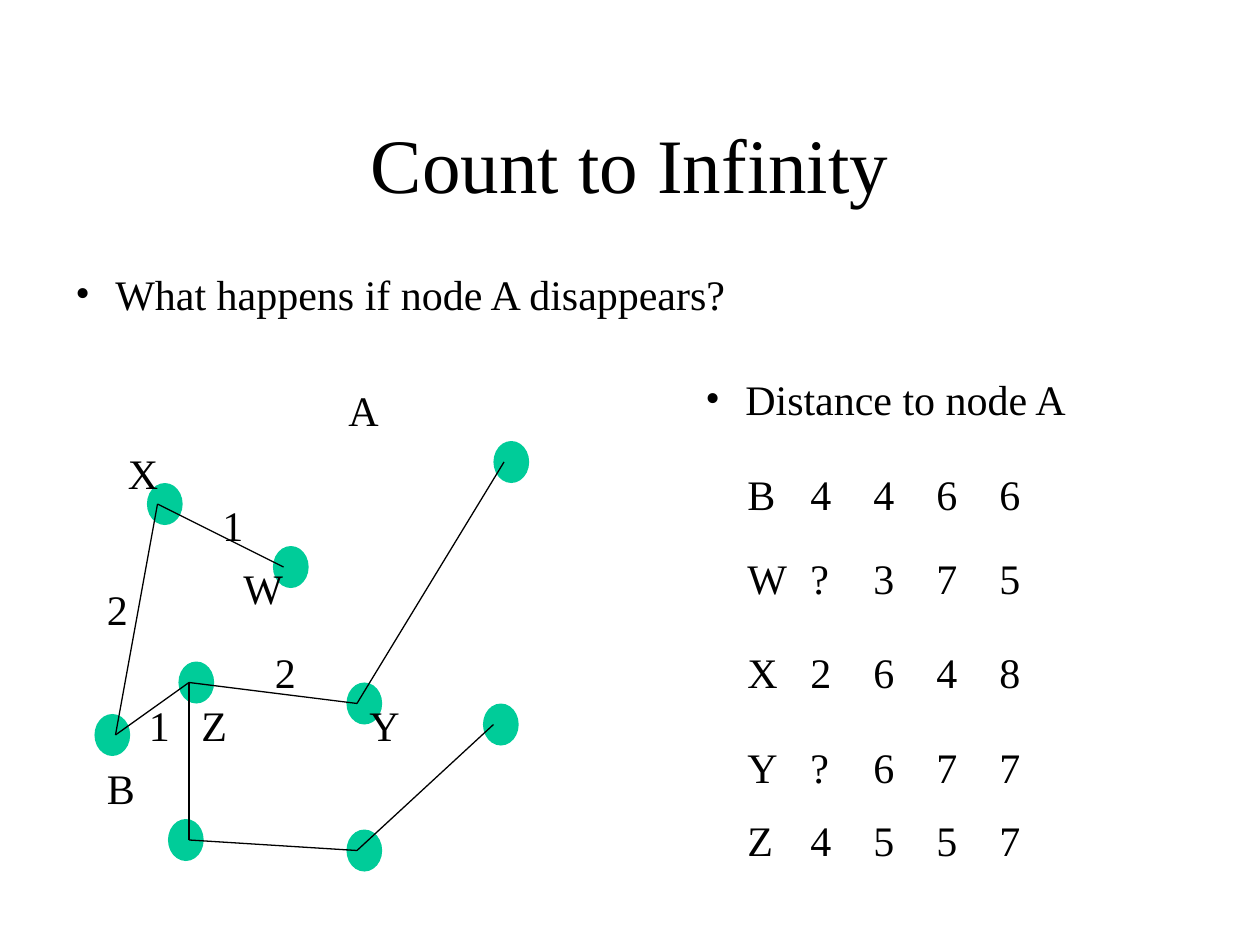
from pptx import Presentation
from pptx.dml.color import RGBColor
from pptx.enum.shapes import MSO_CONNECTOR as Connector, MSO_SHAPE as Shape
from pptx.enum.text import MSO_ANCHOR as Anchor, MSO_AUTO_SIZE as AutoSize, PP_ALIGN as Align
from pptx.oxml.ns import qn
from pptx.util import Pt
from lxml.etree import SubElement

PX = 7620  # EMU per px, 120 px to the inch
FONT = "Times New Roman"
BLACK = RGBColor(0x00, 0x00, 0x00)
GREEN = RGBColor(0x00, 0xCC, 0x99)
BULLET_INDENT = 38


def write(box, text, size=24, align=Align.LEFT, anchor=Anchor.TOP, bullet=False):
    frame = box.text_frame
    frame.word_wrap = True
    frame.vertical_anchor = anchor
    para = frame.paragraphs[0]
    para.alignment = align
    if bullet:
        props = para._p.get_or_add_pPr()
        props.set("marL", str(BULLET_INDENT * PX))
        props.set("indent", str(-BULLET_INDENT * PX))
        SubElement(props, qn("a:buFont")).set("typeface", FONT)
        SubElement(props, qn("a:buChar")).set("char", "•")
    span = para.add_run()
    span.text = text
    span.font.name = FONT
    span.font.size = Pt(size)
    span.font.color.rgb = BLACK


def add_text(shapes, text, left, top, width=60, **style):
    box = shapes.add_textbox(left * PX, top * PX, width * PX, 60 * PX)
    write(box, text, **style)
    box.text_frame.auto_size = AutoSize.SHAPE_TO_FIT_TEXT


deck = Presentation()
deck.slide_width, deck.slide_height = 1200 * PX, 900 * PX
page = deck.slides.add_slide(deck.slide_layouts[5])

# Title and question
title = page.shapes.title
title.left, title.top, title.width, title.height = 90 * PX, 80 * PX, 1020 * PX, 150 * PX
write(title, "Count to Infinity", size=44, align=Align.CENTER, anchor=Anchor.MIDDLE)
add_text(page.shapes, "What happens if node A disappears?", 60, 250, width=1040, bullet=True)

# Network nodes: left and top of the dot, x where its links meet
nodes = {
    "Z": (170, 630, 180),
    "X": (140, 460, 150),
    "B": (90, 680, 110),
    "W": (260, 520, 270),
    "right": (460, 670, 470),
    "lower left": (160, 780, 180),
    "Y": (330, 650, 340),
    "lower middle": (330, 790, 340),
    "A": (470, 420, 480),
}
joints = {}
for name, (left, top, joint_x) in nodes.items():
    dot = page.shapes.add_shape(Shape.OVAL, left * PX, top * PX, 34 * PX, 40 * PX)
    dot.shadow.inherit = False
    dot.fill.solid()
    dot.fill.fore_color.rgb = GREEN
    dot.line.fill.background()
    joints[name] = (joint_x * PX, (top + 20) * PX)

# Links
links = [
    ("B", "Z"), ("X", "W"), ("Z", "Y"), ("Y", "A"), ("lower left", "Z"),
    ("lower middle", "right"), ("lower left", "lower middle"), ("B", "X"),
]
for start, end in links:
    link = page.shapes.add_connector(Connector.STRAIGHT, *joints[start], *joints[end])
    link.line.color.rgb = BLACK
    link.line.width = Pt(0.75)
    SubElement(link._element.spPr, qn("a:effectLst"))

# Node names and link costs
node_labels = [
    ("A", 320, 360), ("B", 90, 720), ("X", 110, 420),
    ("W", 220, 530), ("Z", 180, 660), ("Y", 340, 660),
]
for text, left, top in node_labels:
    add_text(page.shapes, text, left, top)

link_costs = [("2", 250, 610), ("1", 130, 660), ("1", 200, 470), ("2", 90, 550)]
for text, left, top in link_costs:
    add_text(page.shapes, text, left, top, width=40)

# Distances to node A: names, then one group per step
add_text(page.shapes, "Distance to node A", 660, 350, width=380, bullet=True)
row_tops = [440, 520, 610, 700, 770]
columns = ["BWXYZ", "4?2?4", "43665", "67475", "65877"]
for index, column in enumerate(columns):
    shapes = page.shapes.add_group_shape().shapes if index else page.shapes
    for text, top in zip(column, row_tops):
        add_text(shapes, text, 700 + 60 * index, top)

deck.save("out.pptx")
